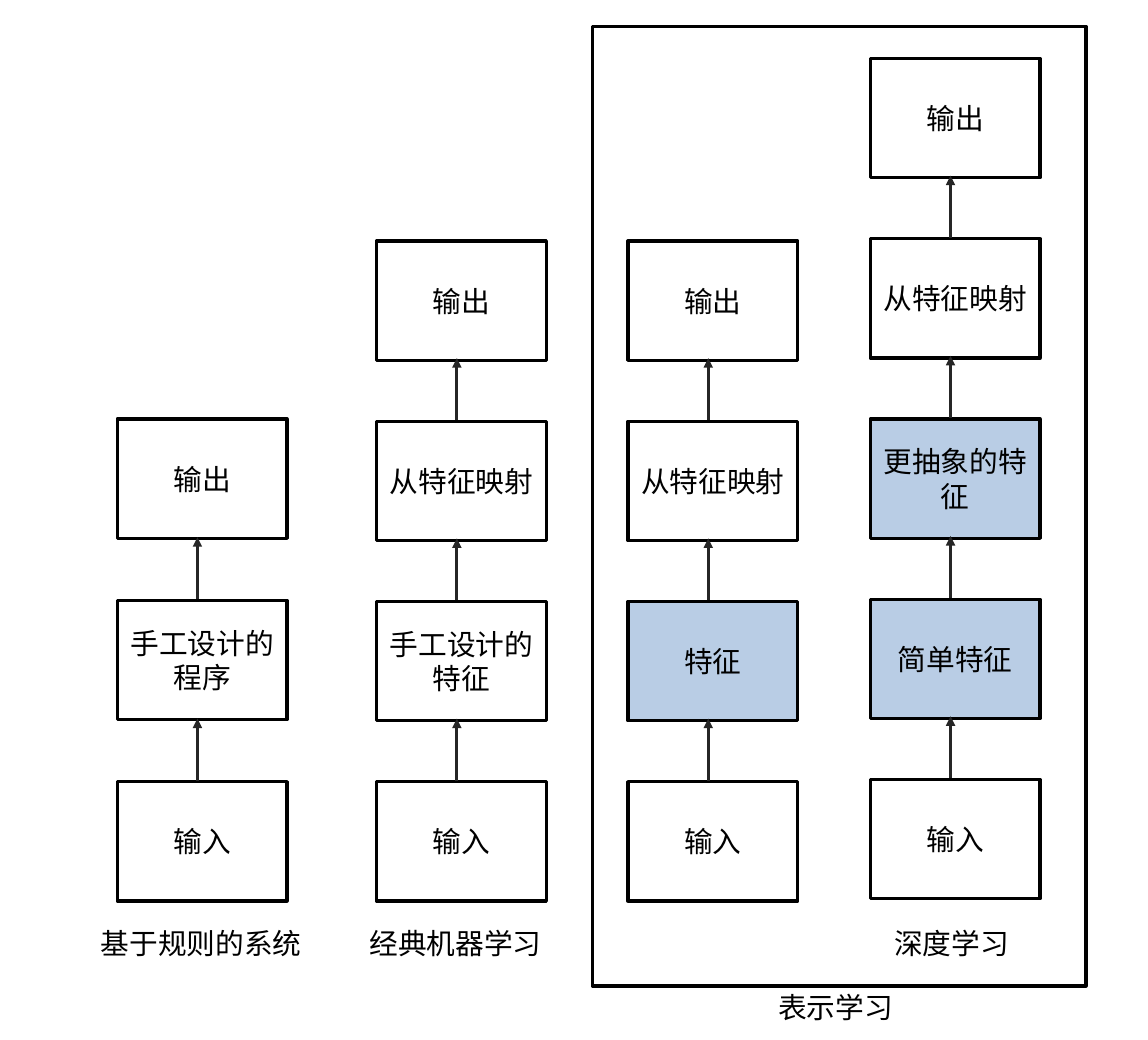
from pptx import Presentation
from pptx.dml.color import RGBColor
from pptx.enum.shapes import MSO_CONNECTOR as LINK, MSO_SHAPE as SHAPE
from pptx.enum.text import MSO_ANCHOR as ANCHOR, MSO_AUTO_SIZE as FIT, PP_ALIGN as ALIGN
from pptx.oxml.ns import qn
from pptx.util import Pt
from lxml.etree import SubElement

PX = 9144  # 100 px to the inch
BOX_W, BOX_H = 148, 104
RISE = 54
BLACK, GREY, WHITE, BLUE = "000000", "262626", "FFFFFF", "B9CDE5"

# left, top of the lowest box, pitch, steps from input to output
COLUMNS = [
    (758, 679, 157, ["输入", "简单特征", "更抽象的特征", "从特征映射", "输出"]),
    (547, 681, 157, ["输入", "特征", "从特征映射", "输出"]),
    (328, 681, 157, ["输入", "手工设计的特征", "从特征映射", "输出"]),
    (102, 681, 158, ["输入", "手工设计的程序", "输出"]),
]
LEARNED = {"特征", "简单特征", "更抽象的特征"}
LABELS = [
    ("基于规则的系统", 78, 802, 197),
    ("经典机器学习", 312, 802, 172),
    ("表示学习", 668, 857, 121),
    ("深度学习", 769, 802, 121),
]


def px(*sizes):
    return [size * PX for size in sizes]


def color(code):
    return RGBColor.from_string(code)


def write(frame, text, size=18, font="Calibri", fill=BLACK, align=ALIGN.LEFT):
    par = frame.paragraphs[0]
    par.alignment = align
    run = par.add_run()
    run.text = text
    run.font.size = Pt(size)
    run.font.name = font
    run.font.color.rgb = color(fill)


def add_box(slide, x, y, w, h, fill=WHITE):
    box = slide.shapes.add_shape(SHAPE.RECTANGLE, *px(x, y, w, h))
    box.shadow.inherit = False
    box.fill.solid()
    box.fill.fore_color.rgb = color(fill)
    box.line.color.rgb = color(BLACK)
    box.line.width = Pt(2)
    return box


def add_step(slide, text, x, y):
    box = add_box(slide, x, y, BOX_W, BOX_H, BLUE if text in LEARNED else WHITE)
    frame = box.text_frame
    frame.word_wrap = True
    frame.vertical_anchor = ANCHOR.MIDDLE
    write(frame, text, align=ALIGN.CENTER)


def add_arrow(slide, x, y):
    """Draw an upward arrow that starts at x, y."""
    arrow = slide.shapes.add_connector(LINK.STRAIGHT, *px(x, y, x, y - RISE))
    arrow.line.color.rgb = color(GREY)
    arrow.line.width = Pt(1.75)
    SubElement(arrow.line._get_or_add_ln(), qn("a:tailEnd"), type="triangle")
    SubElement(arrow._element.spPr, qn("a:effectLst"))


def add_column(slide, left, base, pitch, steps):
    tops = [base - pitch * i for i in range(len(steps))]
    for text, top in zip(steps, tops):
        add_step(slide, text, left, top)
    for top in tops[:-1]:
        add_arrow(slide, left + 70, top - 1)


def add_label(slide, text, x, y, w):
    frame = slide.shapes.add_textbox(*px(x, y, w, 40)).text_frame
    frame.word_wrap = False
    frame.auto_size = FIT.SHAPE_TO_FIT_TEXT
    write(frame, text)


def main():
    deck = Presentation()
    deck.slide_width, deck.slide_height = px(1000, 906)
    slide = deck.slides.add_slide(deck.slide_layouts[6])
    add_box(slide, 516, 23, 430, 836)
    for label in LABELS:
        add_label(slide, *label)
    for column in COLUMNS:
        add_column(slide, *column)
    deck.save("out.pptx")


if __name__ == "__main__":
    main()
